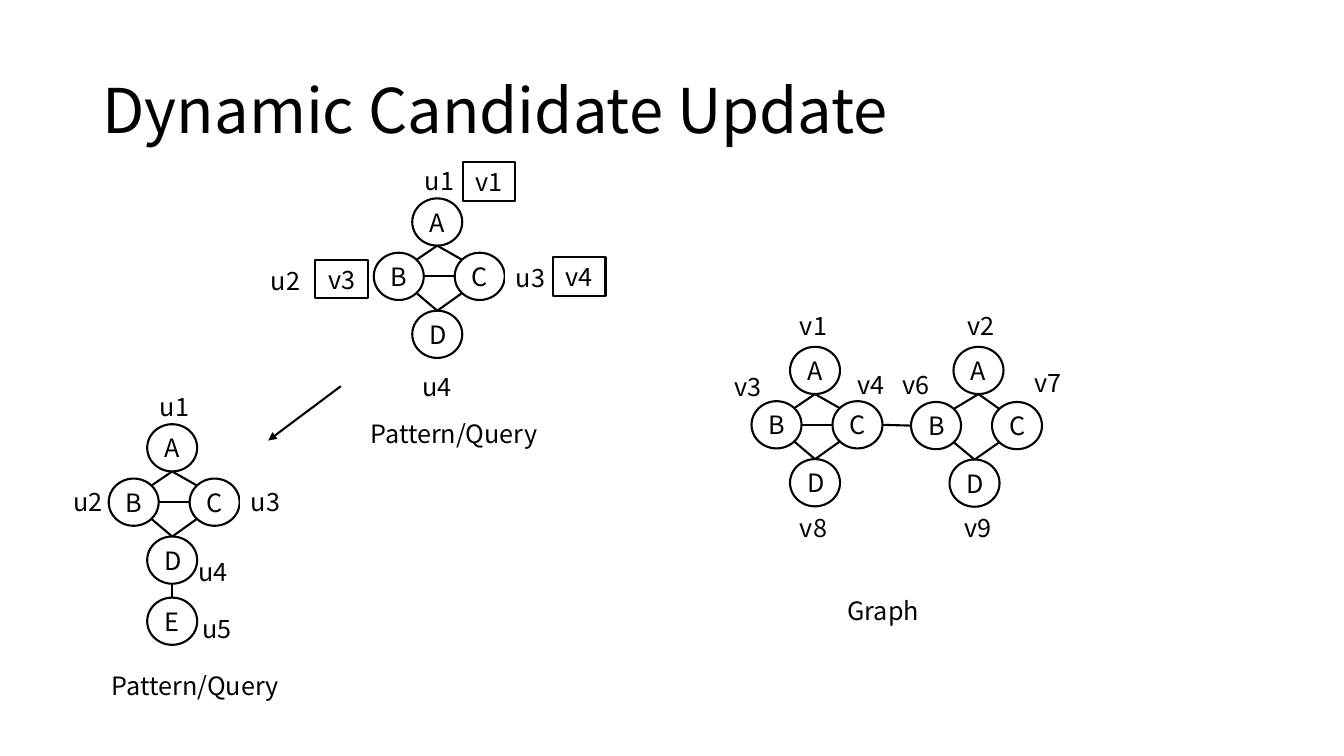
from dataclasses import dataclass
from typing import Any

from lxml.etree import SubElement
from pptx import Presentation
from pptx.dml.color import RGBColor
from pptx.enum.shapes import MSO_CONNECTOR, MSO_SHAPE
from pptx.enum.text import MSO_ANCHOR, MSO_AUTO_SIZE, PP_ALIGN
from pptx.oxml.ns import qn
from pptx.util import Cm, Pt

BLACK = RGBColor(0x00, 0x00, 0x00)
WHITE = RGBColor(0xFF, 0xFF, 0xFF)
FONT = "Noto Sans CJK SC"

# All lengths are in centimetres
NODE_W, NODE_H = 1.26, 1.19
BOX_W, BOX_H = 1.32, 0.97
TAG_W, TAG_H = 1.57, 1.02
NAME_W = 4.72

# Points on a node, as shares of its width and height
TOP, LOW = (0.5, 0), (0.5, 1)
LEFT, RIGHT = (0, 0.5), (1, 0.5)
NW, NE, SW, SE = (0.15, 0.15), (0.85, 0.15), (0.15, 0.85), (0.85, 0.85)

RING = [("A", LOW, "C", NW), ("A", LOW, "B", NE),
        ("C", SW, "D", TOP), ("D", TOP, "B", SE)]
CHORD = ("C", LEFT, "B", RIGHT)
STEM = ("D", LOW, "E", TOP)

# Node places relative to node A
KITE = {"A": (0, 0), "C": (1.07, 1.37), "B": (-0.97, 1.37), "D": (0, 2.83)}
TAILED = KITE | {"E": (0, 4.37)}
MIRROR = {"A": (0, 0), "C": (0.97, 1.39), "B": (-1.07, 1.39), "D": (-0.1, 2.84)}


@dataclass
class Net:
    x: float
    y: float
    nodes: dict[str, tuple[float, float]]
    edges: list[tuple]

    def point(self, node: str, port: tuple[float, float]) -> tuple[float, float]:
        dx, dy = self.nodes[node]
        return self.x + dx + port[0] * NODE_W, self.y + dy + port[1] * NODE_H


@dataclass
class Tag:
    text: str
    x: float
    y: float
    wide: float = TAG_W
    edged: bool = False


@dataclass
class Box:
    text: str
    x: float
    y: float


@dataclass
class Part:
    nets: list[Net]
    tags: list[Tag]
    boxes: list[Box]


def write(shape: Any, text: str, *, size: float = 18, align: Any = None,
          anchor: Any = MSO_ANCHOR.TOP, space: float | None = None,
          grow: bool = False) -> None:
    frame = shape.text_frame
    frame.word_wrap = True
    frame.vertical_anchor = anchor
    frame.auto_size = MSO_AUTO_SIZE.SHAPE_TO_FIT_TEXT if grow else MSO_AUTO_SIZE.NONE
    para = frame.paragraphs[0]
    para.alignment = align
    para.line_spacing = space
    run = para.add_run()
    run.text = text
    run.font.name = FONT
    run.font.size = Pt(size)
    run.font.color.rgb = BLACK


def add_form(shapes: Any, kind: Any, text: str, x: float, y: float,
             w: float, h: float) -> None:
    form = shapes.add_shape(kind, Cm(x), Cm(y), Cm(w), Cm(h))
    form.shadow.inherit = False
    form.fill.solid()
    form.fill.fore_color.rgb = WHITE
    form.line.color.rgb = BLACK
    form.line.width = Pt(1.5)
    write(form, text, align=PP_ALIGN.CENTER, anchor=MSO_ANCHOR.MIDDLE)


def add_line(shapes: Any, start: tuple[float, float], end: tuple[float, float],
             arrow: bool = False) -> None:
    line = shapes.add_connector(MSO_CONNECTOR.STRAIGHT, Cm(start[0]), Cm(start[1]),
                                Cm(end[0]), Cm(end[1]))
    line.line.color.rgb = BLACK
    line.line.width = Pt(1.5)
    if arrow:
        SubElement(line.line._get_or_add_ln(), qn("a:tailEnd"), type="triangle")
    SubElement(line._element.spPr, qn("a:effectLst"))


def add_net(shapes: Any, net: Net) -> None:
    for name in net.nodes:
        x, y = net.point(name, (0, 0))
        add_form(shapes, MSO_SHAPE.OVAL, name, x, y, NODE_W, NODE_H)
    for head, out, foot, into in net.edges:
        add_line(shapes, net.point(head, out), net.point(foot, into))


def add_tag(shapes: Any, tag: Tag) -> None:
    label = shapes.add_textbox(Cm(tag.x), Cm(tag.y), Cm(tag.wide), Cm(TAG_H))
    if tag.edged:
        label.line.color.rgb = WHITE
        label.line.width = Pt(0.75)
    write(label, tag.text, grow=True)


def add_part(shapes: Any, part: Part) -> Any:
    group = shapes.add_group_shape().shapes
    for net in part.nets:
        add_net(group, net)
    for tag in part.tags:
        add_tag(group, tag)
    for box in part.boxes:
        add_form(group, MSO_SHAPE.RECTANGLE, box.text, box.x, box.y, BOX_W, BOX_H)
    return group


QUERY = Part(
    [Net(10.39, 5, KITE, RING + [CHORD])],
    [Tag("u1", 10.46, 4.04), Tag("u2", 6.58, 6.55),
     Tag("u3", 12.75, 6.48, edged=True), Tag("u4", 10.39, 9.22),
     Tag("Pattern/Query", 9.09, 10.41, NAME_W)],
    [Box("v1", 11.66, 4.09), Box("v4", 13.94, 6.48), Box("v3", 7.95, 6.55)])
GROWN = Part(
    [Net(3.71, 10.69, TAILED, RING + [CHORD, STEM])],
    [Tag("u1", 3.78, 9.73), Tag("u2", 1.6, 12.14),
     Tag("u3", 6.07, 12.14, edged=True), Tag("u4", 4.75, 13.89),
     Tag("u5", 4.85, 15.32), Tag("Pattern/Query", 2.57, 16.76, NAME_W)],
    [])
WEST = Net(19.91, 8.74, KITE, RING + [CHORD])
EAST = Net(24.03, 8.74, MIRROR, RING)
GRAPH = Part(
    [WEST, EAST],
    [Tag("v1", 19.91, 7.7), Tag("v2", 24.13, 7.7), Tag("v3", 18.26, 9.22),
     Tag("v4", 21.36, 9.17), Tag("v6", 22.5, 9.17), Tag("v7", 25.81, 9.14),
     Tag("v8", 19.91, 12.78), Tag("v9", 24.05, 12.78),
     Tag("Graph", 21.11, 14.88, NAME_W)],
    [])


def main() -> None:
    deck = Presentation()
    deck.slide_width, deck.slide_height = Cm(33.87), Cm(19.05)
    shapes = deck.slides.add_slide(deck.slide_layouts[6]).shapes

    # Title
    title = shapes.add_textbox(Cm(2.33), Cm(1.01), Cm(29.21), Cm(3.68))
    write(title, "Dynamic Candidate Update", size=44, space=0.9,
          anchor=MSO_ANCHOR.MIDDLE)

    # Query before and after the update
    add_part(shapes, QUERY)
    add_part(shapes, GROWN)
    add_line(shapes, (8.59, 9.73), (6.76, 11.1), arrow=True)

    # Data graph with its bridge
    graph = add_part(shapes, GRAPH)
    add_line(graph, WEST.point("C", RIGHT), EAST.point("B", LEFT))

    deck.save("out.pptx")


if __name__ == "__main__":
    main()
